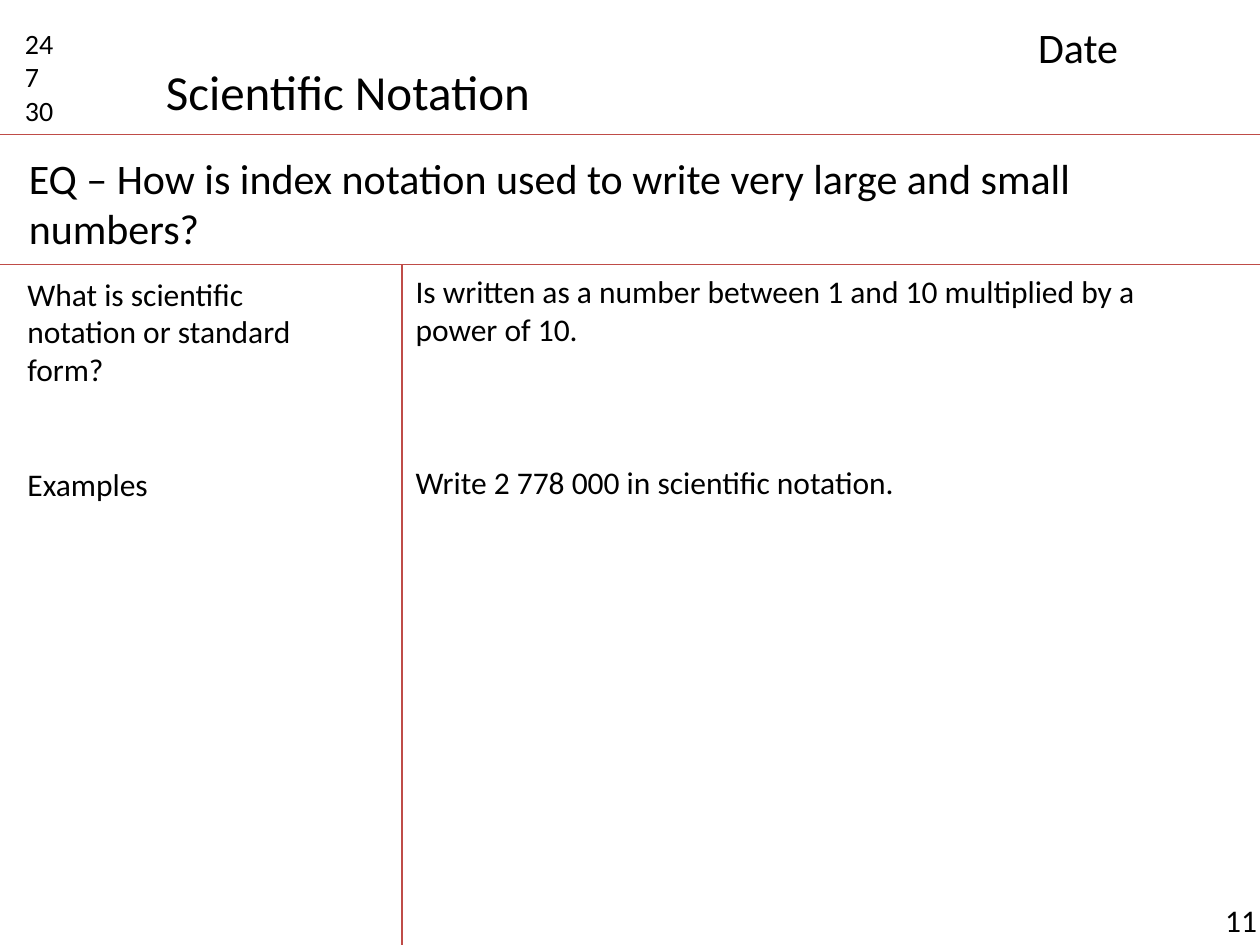
from lxml.etree import SubElement
from pptx import Presentation
from pptx.dml.color import RGBColor as RGB
from pptx.enum.shapes import MSO_CONNECTOR as CONN
from pptx.oxml.ns import qn
from pptx.util import Pt

W, H = 720, 540
COLORS = {"text": "000000", "rule": "BF4C48"}
FONT = "Calibri"
LINE_HEIGHT = 1.22
TITLE_Y, QUESTION_Y, MARGIN_X = 77, 151.2, 229.7

# left, top, width, height, size, wrap, right inset, [(blank lines above, text)]
TEXTS = [
    (693, 511.2, 27, 28.8, 18, True, 0, [(0, "11")]),
    (7.2, 11.5, 45.4, 65.5, 16, True, 7.2, [(0, "24"), (0, "7"), (0, "30")]),
    (87.8, 31.7, 225.4, 41, 28, False, 7.2, [(0, "Scientific Notation")]),
    (586.1, 8.6, 124.6, 36, 24, True, 7.2, [(0, "Date")]),
    (9.4, 83.5, 679, 65.5, 24, True, 7.2,
     [(0, "EQ – How is index notation used to write very large and small numbers?")]),
    (8.6, 153.4, 203.8, 138.2, 18, True, 7.2,
     [(0, "What is scientific notation or standard form?"), (2, "Examples")]),
    (230.4, 151.9, 475.2, 159.8, 18, True, 7.2,
     [(0, "Is written as a number between 1 and 10 multiplied by a power of 10."),
      (3, "Write 2 778 000 in scientific notation.")]),
]
RULES = [
    (0, TITLE_Y, W, TITLE_Y),
    (0, QUESTION_Y, W, QUESTION_Y),
    (MARGIN_X, QUESTION_Y, MARGIN_X, H),
]


def add_rule(slide, ends):
    c = slide.shapes.add_connector(CONN.STRAIGHT, *map(Pt, ends))
    c.line.color.rgb = RGB.from_string(COLORS["rule"])
    c.line.width = Pt(0.75)
    SubElement(c._element.spPr, qn("a:effectLst"))


def add_text(slide, left, top, width, height, size, wrap, inset, paragraphs):
    sp = slide.shapes.add_textbox(Pt(left), Pt(top), Pt(width), Pt(height))
    tf = sp.text_frame
    tf.word_wrap = wrap
    tf.margin_right = Pt(inset)
    for i, (blank_lines, text) in enumerate(paragraphs):
        p = tf.add_paragraph() if i else tf.paragraphs[0]
        if blank_lines:
            p.space_before = Pt(round(blank_lines * size * LINE_HEIGHT, 1))
        r = p.add_run()
        r.text = text
        r.font.name = FONT
        r.font.size = Pt(size)
        r.font.color.rgb = RGB.from_string(COLORS["text"])


def main():
    prs = Presentation()
    prs.slide_width, prs.slide_height = Pt(W), Pt(H)
    slide = prs.slides.add_slide(prs.slide_layouts[6])
    for ends in RULES:
        add_rule(slide, ends)
    for box in TEXTS:
        add_text(slide, *box)
    prs.save("out.pptx")


if __name__ == "__main__":
    main()
